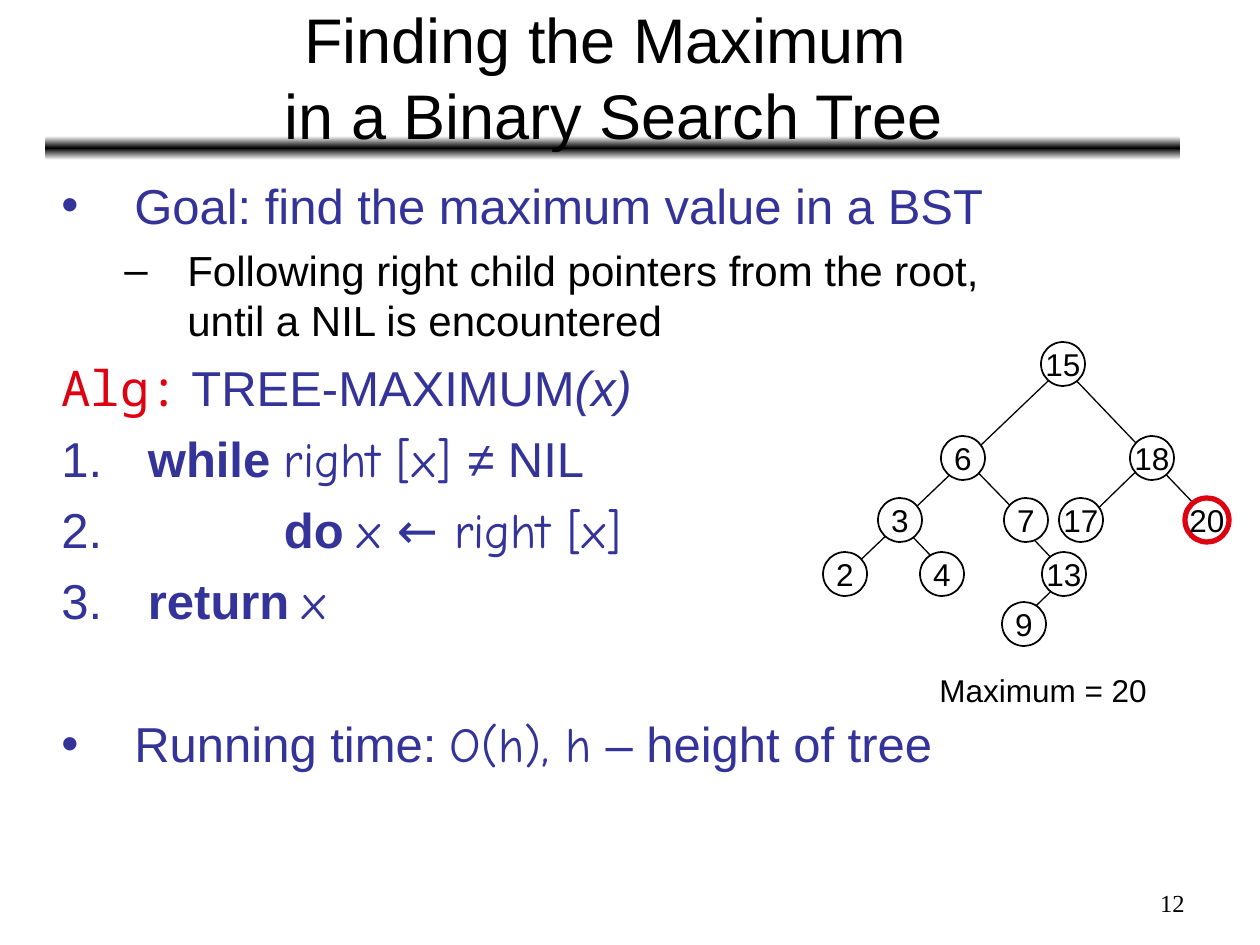
from typing import NamedTuple

from lxml.etree import SubElement
from pptx import Presentation
from pptx.dml.color import RGBColor
from pptx.enum.shapes import MSO_CONNECTOR, MSO_SHAPE
from pptx.enum.text import MSO_ANCHOR, PP_ALIGN
from pptx.oxml.ns import qn
from pptx.util import Pt

SCALE = 914400 / 126
SANS, COMIC, MONO, SERIF = "Arial", "Comic Neue", "Noto Sans Mono", "Times New Roman"
BLACK, WHITE, BLUE, RED = "000000", "FFFFFF", "333399", "DD0111"
NODE = 44


class Run(NamedTuple):
    text: str
    font: str = SANS
    bold: bool = False
    slant: bool = False
    color: str = BLUE


class Para(NamedTuple):
    runs: list
    mark: str = ""
    left: int = 73
    hang: int = 73
    size: int = 28
    before: int = 7


class Edge(NamedTuple):
    x1: int
    y1: int
    x2: int
    y2: int


class Node(NamedTuple):
    key: int
    x: int
    y: int
    color: str = BLACK
    width: int = 1


EDGES = [
    Edge(1012, 629, 1068, 575),
    Edge(1022, 527, 1075, 583),
    Edge(1082, 524, 1152, 456),
    Edge(954, 580, 886, 509),
    Edge(1028, 524, 960, 454),
    Edge(1218, 529, 1050, 353),
    Edge(847, 573, 1067, 363),
]
NODES = [
    Node(3, 878, 498), Node(2, 823, 552), Node(4, 920, 552),
    Node(6, 941, 436), Node(7, 1004, 498), Node(13, 1042, 552),
    Node(15, 1041, 342), Node(18, 1130, 436), Node(17, 1059, 498),
    Node(20, 1185, 498, RED, 3), Node(9, 1002, 602),
]
BODY = [
    Para([Run("Goal: find the maximum value in a BST")], "•"),
    Para([Run("Following right child pointers from the root, until a NIL is encountered",
              color=BLACK)], "–", left=126, hang=63, size=24, before=6),
    Para([Run("Alg:", MONO, color=RED), Run(" TREE-MAXIMUM"), Run("(x)", slant=True)]),
    Para([Run(" "), Run("while ", bold=True), Run("right [x] ", COMIC), Run("≠ NIL")], "1."),
    Para([Run(" "), Run("do ", bold=True), Run("x ← right [x]", COMIC)], "2.",
         left=209, hang=209),
    Para([Run(" "), Run("return ", bold=True), Run("x", COMIC)], "3."),
    Para([Run("Running time: "), Run("O(h), h", COMIC), Run(" – height of tree")], "•",
         before=48),
]


def px(n: int) -> int:
    return round(n * SCALE)


def rgb(code: str) -> RGBColor:
    return RGBColor.from_string(code)


def style(font, *, name: str = SANS, size: int = 18, color: str = BLACK,
          bold: bool = False, slant: bool = False) -> None:
    font.name, font.size = name, Pt(size)
    font.bold, font.italic = bold, slant
    font.color.rgb = rgb(color)


def write(frame, text: str, *, align=PP_ALIGN.LEFT, anchor=MSO_ANCHOR.TOP,
          wrap: bool = True, **look) -> None:
    frame.word_wrap = wrap
    frame.vertical_anchor = anchor
    para = frame.paragraphs[0]
    para.text, para.alignment = text, align
    for run in para.runs:
        style(run.font, **look)


def box(slide, x: int, y: int, w: int, h: int):
    return slide.shapes.add_textbox(px(x), px(y), px(w), px(h)).text_frame


def rule(slide) -> None:
    bar = slide.shapes.add_shape(MSO_SHAPE.ROUNDED_RECTANGLE,
                                 px(45), px(136), px(1135), px(24))
    bar.shadow.inherit = False
    bar.line.fill.background()
    bar.fill.gradient()
    bar.fill.gradient_angle = 90
    stops = bar.fill._fill._gradFill.find(qn("a:gsLst"))
    for stop in list(stops):
        stops.remove(stop)
    for pos, code in ((0, WHITE), (50, BLACK), (100, WHITE)):
        stop = SubElement(stops, qn("a:gs"), pos=str(pos * 1000))
        SubElement(stop, qn("a:srgbClr"), val=code)


def link(slide, edge: Edge) -> None:
    line = slide.shapes.add_connector(MSO_CONNECTOR.STRAIGHT, *map(px, edge))
    line.line.color.rgb = rgb(BLACK)
    line.line.width = Pt(0.75)
    SubElement(line._element.spPr, qn("a:effectLst"))


def disc(slide, node: Node) -> None:
    oval = slide.shapes.add_shape(MSO_SHAPE.OVAL, px(node.x), px(node.y),
                                  px(NODE), px(NODE))
    oval.shadow.inherit = False
    oval.fill.solid()
    oval.fill.fore_color.rgb = rgb(WHITE)
    oval.line.color.rgb = rgb(node.color)
    oval.line.width = Pt(node.width)
    write(oval.text_frame, str(node.key), align=PP_ALIGN.CENTER,
          anchor=MSO_ANCHOR.MIDDLE, wrap=False)


def bullet(para, item: Para) -> None:
    props = para._p.get_or_add_pPr()
    props.set("marL", str(px(item.left)))
    props.set("indent", str(-px(item.hang)))
    if item.mark.endswith("."):
        SubElement(props, qn("a:buFont"), typeface=SANS)
        SubElement(props, qn("a:buAutoNum"), type="arabicPeriod", startAt=item.mark[:-1])
    elif item.mark:
        SubElement(props, qn("a:buFont"), typeface=SANS)
        SubElement(props, qn("a:buChar"), char=item.mark)
    else:
        SubElement(props, qn("a:buNone"))


def fill(frame, items: list[Para]) -> None:
    frame.word_wrap = True
    for i, item in enumerate(items):
        para = frame.add_paragraph() if i else frame.paragraphs[0]
        para.space_before = Pt(item.before)
        bullet(para, item)
        for part in item.runs:
            run = para.add_run()
            run.text = part.text
            style(run.font, name=part.font, size=item.size, color=part.color,
                  bold=part.bold, slant=part.slant)


def main() -> None:
    deck = Presentation()
    deck.slide_width, deck.slide_height = px(1260), px(945)
    slide = deck.slides.add_slide(deck.slide_layouts[6])
    rule(slide)
    write(box(slide, 47, 14, 1134, 125), "Finding the Maximum \vin a Binary Search Tree",
          align=PP_ALIGN.CENTER, anchor=MSO_ANCHOR.MIDDLE, size=36)
    for edge in EDGES:
        link(slide, edge)
    for node in NODES:
        disc(slide, node)
    write(box(slide, 927, 665, 270, 50), "Maximum = 20")
    fill(box(slide, 49, 169, 968, 699), BODY)
    write(box(slide, 903, 882, 294, 44), "12", align=PP_ALIGN.RIGHT,
          name=SERIF, size=14)
    deck.save("out.pptx")


if __name__ == "__main__":
    main()
